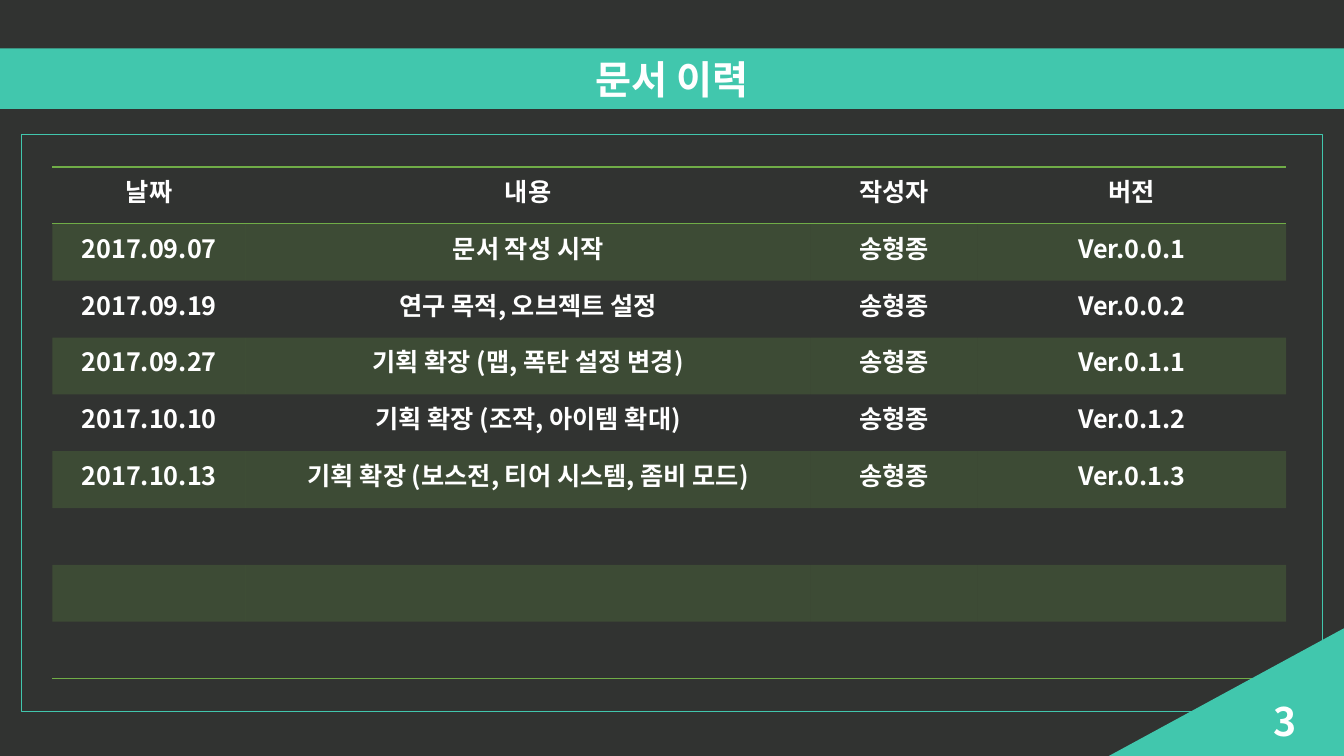
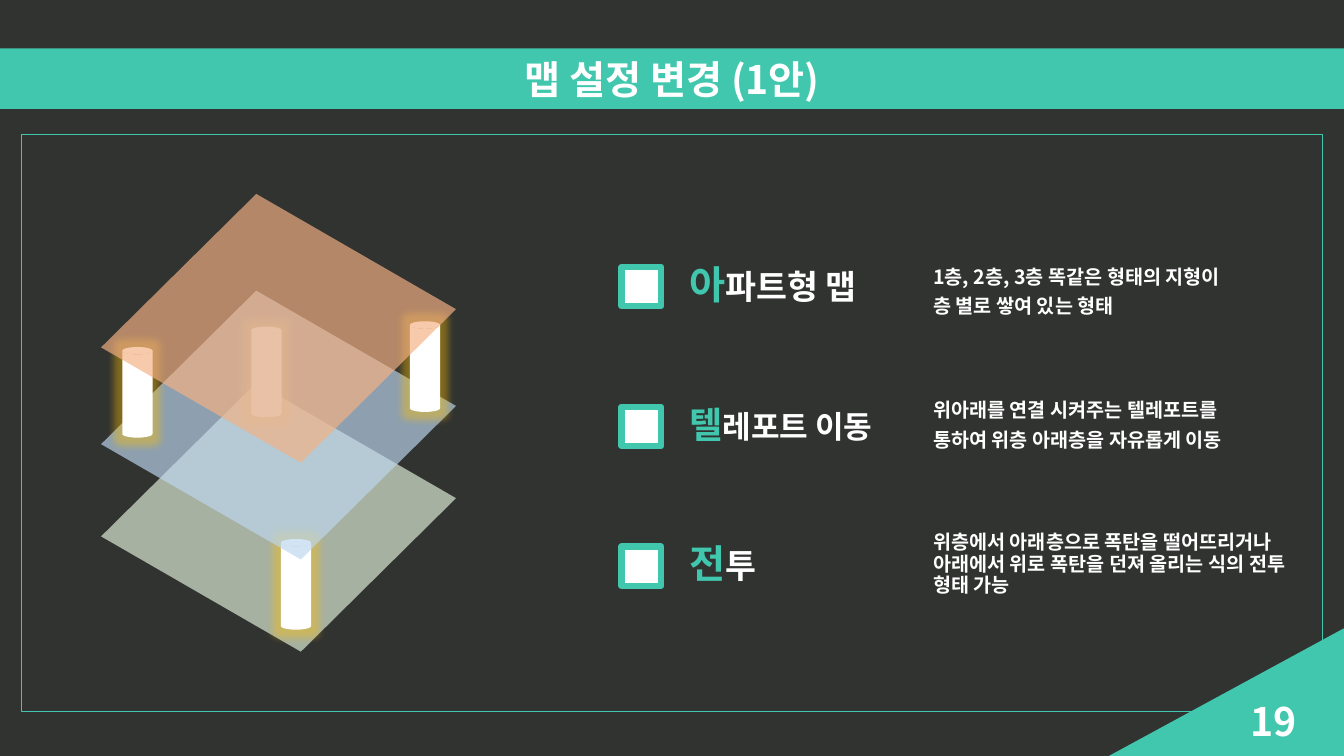
"""Builds two slides: a revision table and a map plan."""
import pptx
import pptx.dml.color
import pptx.enum.shapes
import pptx.enum.text
import pptx.oxml
import pptx.oxml.ns
import pptx.util

HUES = {"dark": "313331", "teal": "41C7AD", "white": "FFFFFF", "green": "70AD47",
        "mint": "E2F0D9", "sky": "BDD7EE", "peach": "F4B183", "gold": "FFC000"}
FACE = "Noto Sans CJK KR"
WIDE, HIGH = pptx.util.Inches(13.33), pptx.util.Inches(7.5)
FORMS = pptx.enum.shapes.MSO_SHAPE
SIDES = pptx.enum.text.PP_ALIGN
MID = pptx.enum.text.MSO_ANCHOR.MIDDLE
NO_GRID = "{2D5ABB26-0587-4C30-8999-92F81FD0307C}"

HEADS = ("날짜", "내용", "작성자", "버전")
EDITS = (
    ("2017.09.07", "문서 작성 시작", "송형종", "Ver.0.0.1"),
    ("2017.09.19", "연구 목적, 오브젝트 설정", "송형종", "Ver.0.0.2"),
    ("2017.09.27", "기획 확장 (맵, 폭탄 설정 변경)", "송형종", "Ver.0.1.1"),
    ("2017.10.10", "기획 확장 (조작, 아이템 확대)", "송형종", "Ver.0.1.2"),
    ("2017.10.13", "기획 확장 (보스전, 티어 시스템, 좀비 모드)", "송형종", "Ver.0.1.3"),
)
BLANKS = 3
COLS = (14.4, 42, 12.45, 22.95)
POINTS = (
    ("아", "파트형 맵", 28, 24, 38.7,
     ("1층, 2층, 3층 똑같은 형태의 지형이", "층 별로 쌓여 있는 형태")),
    ("텔", "레포트 이동", 25.9, 22.2, 56.4,
     ("위아래를 연결 시켜주는 텔레포트를", "통하여 위층 아래층을 자유롭게 이동")),
    ("전", "투", 28, 24, 74.7,
     ("위층에서 아래층으로 폭탄을 떨어뜨리거나 아래에서 위로 폭탄을 던져 올리는 식의 전투 형태 가능",)),
)


def area(left, top, width, height):
    """Turn percent shares of the slide into lengths."""
    return (int(WIDE * left / 100), int(HIGH * top / 100),
            int(WIDE * width / 100), int(HIGH * height / 100))


def hue(key):
    """Look up a colour by name."""
    return pptx.dml.color.RGBColor.from_string(HUES[key])


def node(text):
    """Parse one drawing element."""
    head, tail = text.split(" ", 1)
    space = pptx.oxml.ns.nsdecls("a")
    return pptx.oxml.parse_xml(f"{head} {space} {tail}")


def paint(item, key, share=100):
    """Fill a shape or cell, see-through below 100 percent."""
    item.fill.solid()
    item.fill.fore_color.rgb = hue(key)
    if share < 100:
        tint = item.fill._xPr.find(".//" + pptx.oxml.ns.qn("a:srgbClr"))
        tint.append(node(f'<a:alpha val="{share * 1000}"/>'))


def style(para, size, side=SIDES.LEFT):
    """Set the shared text look on a paragraph."""
    para.alignment = side
    font = para.font
    font.name, font.bold, font.size = FACE, True, pptx.util.Pt(size)
    font.color.rgb = hue("white")
    font._rPr.append(node(f'<a:ea typeface="{FACE}"/>'))


def shape(slide, form, box, fill=None, share=100, edge=None, width=0.75):
    """Add a flat preset shape."""
    item = slide.shapes.add_shape(form, *area(*box))
    item.shadow.inherit = False
    if fill:
        paint(item, fill, share)
    else:
        item.fill.background()
    if edge:
        item.line.color.rgb = hue(edge)
        item.line.width = pptx.util.Pt(width)
    else:
        item.line.fill.background()
    return item


def words(slide, box):
    """Add a wrapping text box, centred in height."""
    frame = slide.shapes.add_textbox(*area(*box)).text_frame
    frame.word_wrap = True
    frame.vertical_anchor = MID
    return frame


def space(para):
    """Set the line and paragraph gaps of the list."""
    para.line_spacing = 0.9
    para.space_after = pptx.util.Pt(6)


def start(deck, text):
    """Add a slide with its title band and frame."""
    slide = deck.slides.add_slide(deck.slide_layouts[5])
    title = slide.shapes.title
    title.left, title.top, title.width, title.height = area(0, 6.4, 100, 8)
    paint(title, "teal")
    frame = title.text_frame
    frame.text = text
    frame.auto_size = pptx.enum.text.MSO_AUTO_SIZE.NONE
    frame.vertical_anchor = MID
    style(frame.paragraphs[0], 28, SIDES.CENTER)
    shape(slide, FORMS.RECTANGLE, (1.6, 17.8, 96.8, 76.3), edge="teal")
    return slide


def corner(slide, number):
    """Add the corner wedge and page number."""
    wedge = shape(slide, FORMS.RIGHT_TRIANGLE, (82.5, 83.1, 17.5, 16.9), "teal")
    wedge._element.spPr.xfrm.set("flipH", "1")
    para = words(slide, (74.7, 92.7, 22.5, 5.3)).paragraphs[0]
    para.text = str(number)
    style(para, 28, SIDES.RIGHT)


def rule(cell, sides):
    """Draw green borders on the given sides, named T and B."""
    for side in reversed(sides):
        cell._tc.get_or_add_tcPr().insert(0, node(
            f'<a:ln{side} w="12700"><a:solidFill><a:srgbClr val="{HUES["green"]}"/>'
            f'</a:solidFill></a:ln{side}>'))


def table(slide):
    """Add the revision table."""
    rows = (HEADS, *EDITS) + (("",) * len(HEADS),) * BLANKS
    box = area(3.9, 22.1, sum(COLS), 67.7)
    grid = slide.shapes.add_table(len(rows), len(COLS), *box).table
    grid.first_row = grid.horz_banding = False
    grid._tbl.tblPr.find(pptx.oxml.ns.qn("a:tableStyleId")).text = NO_GRID
    for col, share in zip(grid.columns, COLS):
        col.width = int(WIDE * share / 100)
    for r, row in enumerate(rows):
        for c, text in enumerate(row):
            cell = grid.cell(r, c)
            if r % 2:
                paint(cell, "green", 20)
            else:
                cell.fill.background()
            if r == 0:
                rule(cell, "TB")
            elif r == len(rows) - 1:
                rule(cell, "B")
            if text:
                cell.text = text
                style(cell.text_frame.paragraphs[0], 18, SIDES.CENTER)


def sheet(slide, top, key):
    """Add one see-through floor of the map."""
    floor = shape(slide, FORMS.FLOWCHART_DATA, (10, top, 21.45, 27.85), key, 67)
    floor.rotation = 30


def post(slide, left, top):
    """Add one glowing teleport post."""
    can = shape(slide, FORMS.CAN, (left, top, 2.25, 12), "white")
    glow = can._element.spPr.find(pptx.oxml.ns.qn("a:effectLst"))
    glow.append(node(f'<a:glow rad="139700"><a:srgbClr val="{HUES["gold"]}">'
                     '<a:alpha val="40000"/></a:srgbClr></a:glow>'))


def point(slide, row, first, rest, large, small, mid, lines):
    """Add one marker with its label and details."""
    level = 37.9 + 18.5 * row
    shape(slide, FORMS.RECTANGLE, (46.25, level - 2.6, 2.95, 5.2),
          "white", edge="teal", width=4.5)
    para = words(slide, (50.55, level - 4.75, 17, 9.5)).paragraphs[0]
    style(para, small)
    space(para)
    lead = para.add_run()
    lead.text = first
    lead.font.size = pptx.util.Pt(large)
    lead.font.color.rgb = hue("teal")
    para.add_run().text = rest
    frame = words(slide, (68.7, mid - 6.4, 28, 12.8))
    frame.text = "\n".join(lines)
    for para in frame.paragraphs:
        style(para, 14)
        space(para)


def main():
    """Build and save the deck."""
    deck = pptx.Presentation()
    deck.slide_width, deck.slide_height = WIDE, HIGH
    paint(deck.slide_master.background, "dark")

    slide = start(deck, "문서 이력")
    table(slide)
    corner(slide, 3)

    slide = start(deck, "맵 설정 변경 (1안)")
    corner(slide, 19)
    for row, item in enumerate(POINTS):
        point(slide, row, *item)
    sheet(slide, 54.5, "mint")
    post(slide, 20.9, 71.3)
    post(slide, 18.7, 43.2)
    sheet(slide, 42.3, "sky")
    post(slide, 9.1, 45.9)
    post(slide, 30.5, 42.5)
    sheet(slide, 29.5, "peach")
    deck.save("out.pptx")


if __name__ == "__main__":
    main()
